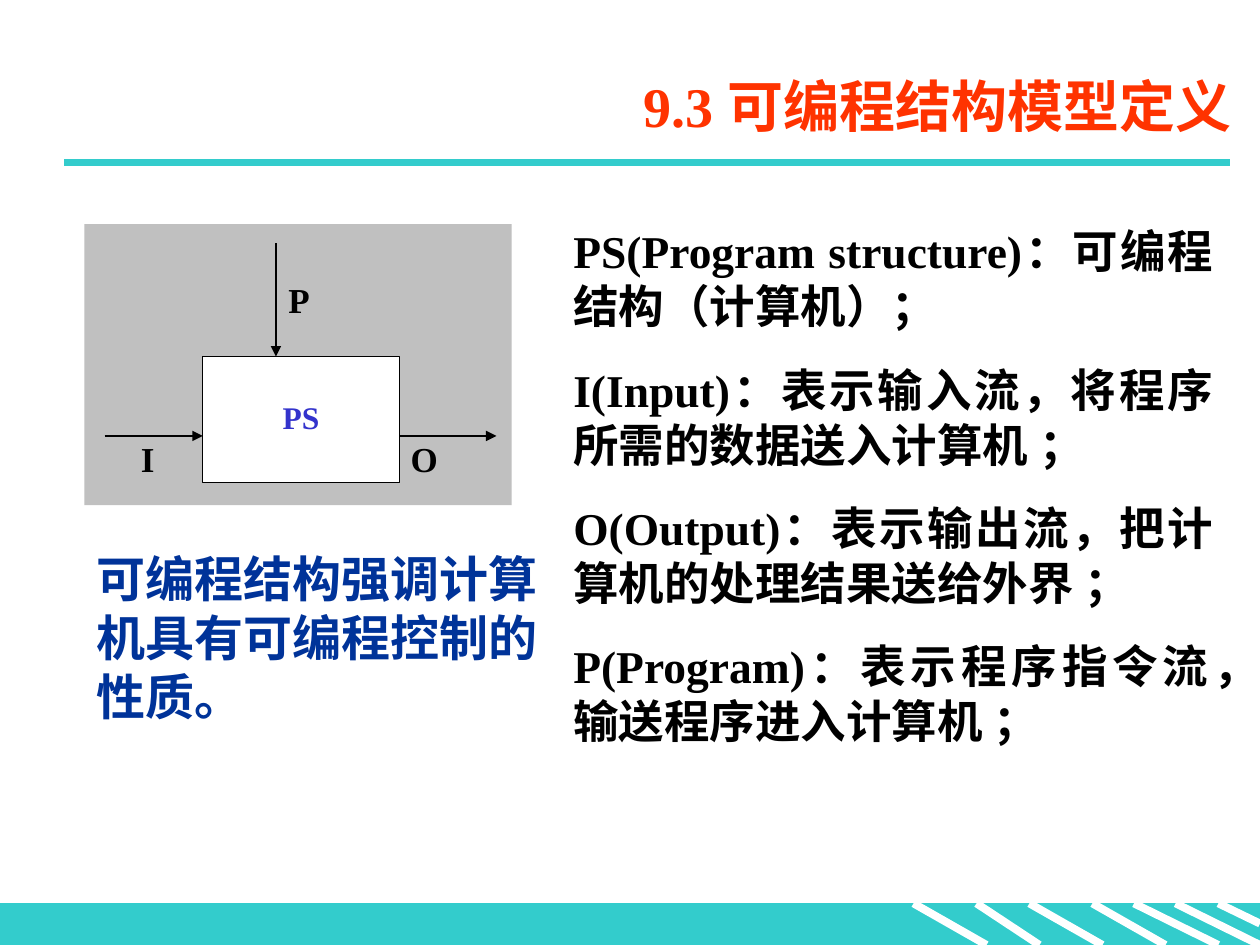
from lxml.etree import SubElement as Sub
from pptx import Presentation
from pptx.dml.color import RGBColor as Rgb
from pptx.enum.shapes import MSO_CONNECTOR as Conn, MSO_SHAPE as Kind
from pptx.enum.text import MSO_ANCHOR as Anchor, MSO_AUTO_SIZE as Fit, PP_ALIGN as Align
from pptx.oxml.ns import qn
from pptx.util import Inches, Pt

SERIF, SANS = "Times New Roman", "Noto Sans CJK SC"
TEAL, BLACK, WHITE = "33CCCC", "000000", "FFFFFF"

TITLE = "9.3 可编程结构模型定义"
NOTE = "可编程结构强调计算机具有可编程控制的性质。"
TERMS = [
    [("PS(Program structure)：可编程结构（计算机）；", SERIF)],
    [("I(Input)：", SERIF), ("表示输入流，将程序所需的数据送入计算机", SANS), (" ；", SERIF)],
    [("O(Output)：", SERIF), ("表示输出流，把计算机的处理结果送给外界", SANS), (" ；", SERIF)],
    [("P(Program)：", SERIF), ("表示程序指令流，输送程序进入计算机", SANS), (" ；", SERIF)],
]
# Start and end x of the stripes that cross the footer band
STRIPES = [(7.25, 7.83), (7.75, 8.25), (8.17, 8.75), (8.67, 9.25), (9, 9.67), (9.33, 10)]
# Arrows of the diagram: x1, y1, x2, y2
FLOWS = [(0.83, 3.46, 1.61, 3.46), (3.16, 3.46, 3.94, 3.46), (2.19, 1.93, 2.19, 2.83)]
MARKS = [("O", 3.16, 3.42), ("P", 2.19, 2.16), ("I", 1.02, 3.42)]


def tint(code):
    return Rgb.from_string(code)


def place(shape, x, y, w, h):
    shape.left, shape.top = Inches(x), Inches(y)
    shape.width, shape.height = Inches(w), Inches(h)


def add_run(para, text, size, color, face=SERIF):
    run = para.add_run()
    run.text = text
    font = run.font
    font.name, font.size, font.bold = face, Pt(size), True
    font.color.rgb = tint(color)
    Sub(font._element, qn("a:ea")).set("typeface", SANS)


def add_box(slide, x, y, w, h, fill, line=None):
    box = slide.shapes.add_shape(Kind.RECTANGLE, Inches(x), Inches(y), Inches(w), Inches(h))
    box.shadow.inherit = False
    box.fill.solid()
    box.fill.fore_color.rgb = tint(fill)
    if line:
        box.line.color.rgb = tint(line)
        box.line.width = Pt(0.75)
    else:
        box.line.fill.background()
    return box


def add_line(slide, x1, y1, x2, y2, color, width, arrow=False):
    line = slide.shapes.add_connector(
        Conn.STRAIGHT, Inches(x1), Inches(y1), Inches(x2), Inches(y2))
    line.line.color.rgb = tint(color)
    line.line.width = Pt(width)
    if arrow:
        Sub(line.line._get_or_add_ln(), qn("a:tailEnd")).set("type", "triangle")
    Sub(line._element.spPr, qn("a:effectLst"))


def add_text(slide, x, y, w, h, text, size, color, align):
    box = slide.shapes.add_textbox(Inches(x), Inches(y), Inches(w), Inches(h))
    box.text_frame.word_wrap = True
    para = box.text_frame.paragraphs[0]
    para.alignment = align
    add_run(para, text, size, color)
    return para


def add_title(slide):
    title = slide.shapes.title
    place(title, 1.38, 0.44, 8.5, 0.79)
    frame = title.text_frame
    frame.auto_size, frame.vertical_anchor = Fit.NONE, Anchor.MIDDLE
    para = frame.paragraphs[0]
    para.alignment = Align.RIGHT
    add_run(para, TITLE, 32, "FF3300")


def add_terms(slide):
    body = slide.placeholders[1]
    place(body, 4.45, 1.72, 5.28, 4.9)
    frame = body.text_frame
    frame.auto_size = Fit.NONE
    for i, parts in enumerate(TERMS):
        para = frame.add_paragraph() if i else frame.paragraphs[0]
        props = para._p.get_or_add_pPr()
        props.set("marL", "0")
        props.set("indent", "0")
        Sub(props, qn("a:buNone"))
        para.alignment = Align.JUSTIFY
        para.line_spacing = Pt(31.4)
        para.space_before = Pt(16.2 if i else 0)
        for text, face in parts:
            add_run(para, text, 26, BLACK, face)


def add_frame(slide):
    # Footer band with its stripes, and the rule under the title
    add_box(slide, 0, 7.17, 10, 0.33, TEAL, TEAL)
    for x1, x2 in STRIPES:
        add_line(slide, x1, 7.17, x2, 7.5, WHITE, 4.5)
    add_line(slide, 9.67, 7.17, 10, 7.33, WHITE, 4.5)
    add_line(slide, 0.51, 1.29, 9.76, 1.29, TEAL, 4.5)


def add_model(slide):
    # Grey panel, arrows, the PS block and the stream labels
    add_box(slide, 0.67, 1.78, 3.39, 2.23, "C0C0C0")
    for ends in FLOWS:
        add_line(slide, *ends, BLACK, 0.75, arrow=True)
    block = add_box(slide, 1.61, 2.83, 1.56, 1, WHITE, BLACK)
    frame = block.text_frame
    frame.vertical_anchor, frame.margin_top = Anchor.TOP, Inches(0.33)
    para = frame.paragraphs[0]
    para.alignment = Align.CENTER
    add_run(para, "PS", 18, "3333CC")
    for text, x, y in MARKS:
        add_text(slide, x, y, 0.59, 0.67, text, 20, BLACK, Align.JUSTIFY)


def main():
    deck = Presentation()
    deck.slide_width, deck.slide_height = Inches(10), Inches(7.5)
    slide = deck.slides.add_slide(deck.slide_layouts[1])
    add_frame(slide)
    add_title(slide)
    add_terms(slide)
    add_model(slide)
    # Remark below the diagram
    note = add_text(slide, 0.67, 4.3, 3.7, 1.5, NOTE, 28, "003399", Align.LEFT)
    note.line_spacing = Pt(33.7)
    deck.save("out.pptx")


if __name__ == "__main__":
    main()
